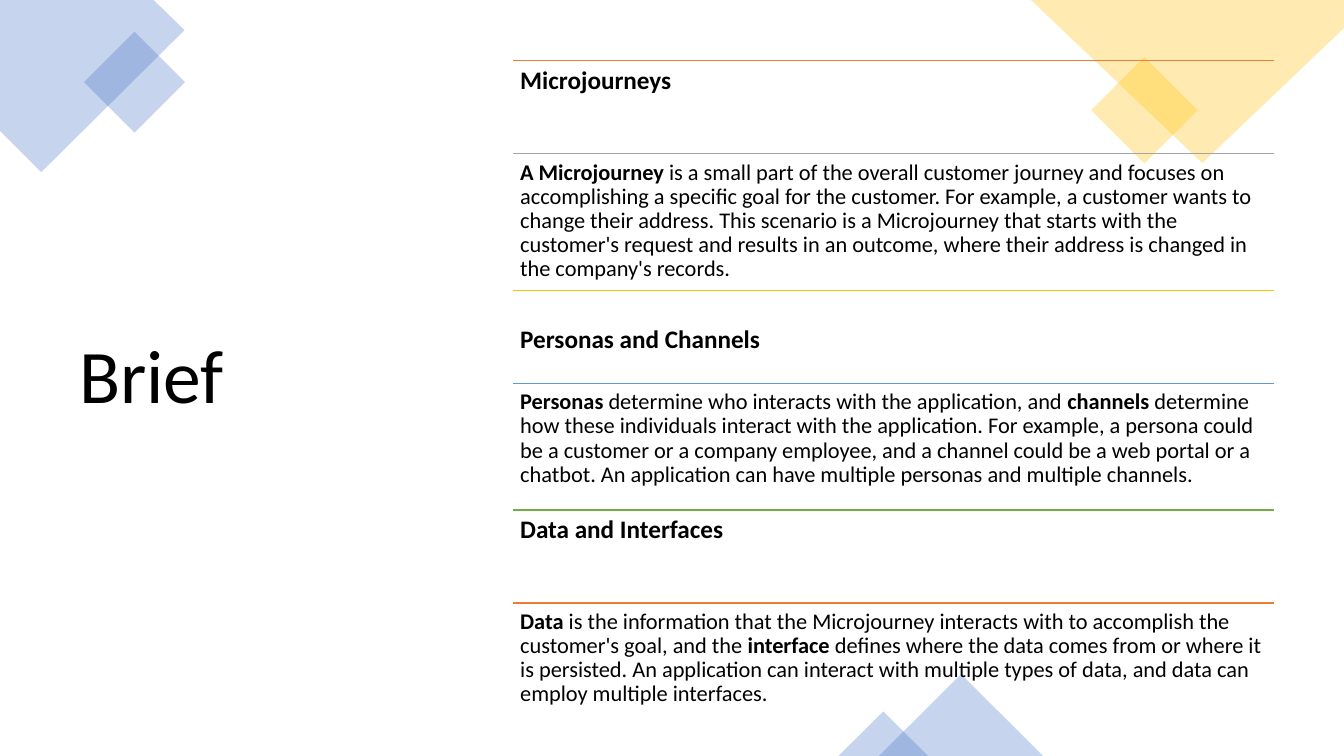
from lxml import etree
from pptx import Presentation
from pptx.dml.color import RGBColor
from pptx.enum import shapes, text
from pptx.oxml.ns import qn
from pptx.util import Cm, Pt

BLUE, GOLD, ORANGE, GREY = "4472C4", "FFC000", "ED7D31", "A5A5A5"
SKY, GREEN, BLACK = "5B9BD5", "70AD47", "000000"
COLUMN_LEFT, COLUMN_WIDTH, HEADING_HEIGHT = 12.93, 19.18, 2.34


def paint(shape, color):
    """Give a decorative shape a 30 % opaque fill without outline or shadow."""
    shape.shadow.inherit = False
    shape.line.fill.background()
    shape.fill.solid()
    shape.fill.fore_color.rgb = RGBColor.from_string(color)
    fill_color = shape._element.spPr.find(qn("a:solidFill"))[0]
    etree.SubElement(fill_color, qn("a:alpha"), val="30000")


def add_text(left, top, width, height, content, size, inset=0.18, bold=False):
    """Add a one-paragraph text box; parts between ** marks are bold."""
    box = slide.shapes.add_textbox(Cm(left), Cm(top), Cm(width), Cm(height))
    frame = box.text_frame
    frame.word_wrap = True
    frame.margin_left = frame.margin_right = Cm(inset)
    frame.margin_top = frame.margin_bottom = Cm(inset)
    paragraph = frame.paragraphs[0]
    paragraph.line_spacing = 0.9
    paragraph.font.name = "Calibri"
    paragraph.font.size = Pt(size)
    paragraph.font.color.rgb = RGBColor.from_string(BLACK)
    paragraph.font.bold = bold
    for index, part in enumerate(content.split("**")):
        if part:
            run = paragraph.add_run()
            run.text = part
            if index % 2:
                run.font.bold = True
    return frame


presentation = Presentation()
presentation.slide_width, presentation.slide_height = Cm(33.87), Cm(19.05)
slide = presentation.slides.add_slide(presentation.slide_layouts[6])

# Corner decorations
corners = [
    (BLUE, [(0, 0), (3.87, 0), (4.65, 0.76), (1.04, 4.34), (0, 3.3)]),
    (GOLD, [(33.87, 0), (25.98, 0), (30.3, 4.11), (33.87, 0.71)]),
]
for color, points in corners:
    start, *others = [(Cm(x), Cm(y)) for x, y in points]
    builder = slide.shapes.build_freeform(*start)
    builder.add_line_segments(others)
    paint(builder.convert_to_shape(), color)

RECTANGLE = shapes.MSO_SHAPE.RECTANGLE
TRIANGLE = shapes.MSO_SHAPE.ISOSCELES_TRIANGLE
accents = [
    (RECTANGLE, 2.49, 1.17, 1.8, 1.8, 45, BLUE),
    (RECTANGLE, 27.89, 1.83, 1.9, 1.9, 45, GOLD),
    (TRIANGLE, 22.15, 16.99, 4.14, 2.06, 0, BLUE),
    (TRIANGLE, 21.13, 17.93, 2.26, 1.12, 0, BLUE),
]
for kind, left, top, width, height, rotation, color in accents:
    accent = slide.shapes.add_shape(kind, Cm(left), Cm(top), Cm(width), Cm(height))
    accent.rotation = rotation
    paint(accent, color)

title = add_text(1.75, 1.78, 9.5, 15.52, "Brief", 54, inset=0.25)
title.vertical_anchor = text.MSO_ANCHOR.MIDDLE

# Sections: top, heading offset, body height, rule colours, heading, body
sections = [
    (1.53, 0, 3.45, (ORANGE, GREY), "Microjourneys",
     "**A Microjourney** is a small part of the overall customer journey and focuses on "
     "accomplishing a specific goal for the customer. For example, a customer wants to "
     "change their address. This scenario is a Microjourney that starts with the "
     "customer's request and results in an outcome, where their address is changed in "
     "the company's records."),
    (7.32, 0.73, 3.2, (GOLD, SKY), "Personas and Channels",
     "**Personas** determine who interacts with the application, and **channels** determine "
     "how these individuals interact with the application. For example, a persona could "
     "be a customer or a company employee, and a channel could be a web portal or a "
     "chatbot. An application can have multiple personas and multiple channels."),
    (12.85, 0, 2.34, (GREEN, ORANGE), "Data and Interfaces",
     "**Data** is the information that the Microjourney interacts with to accomplish the "
     "customer's goal, and the **interface** defines where the data comes from or where it "
     "is persisted. An application can interact with multiple types of data, and data can "
     "employ multiple interfaces."),
]
for top, heading_offset, body_height, rule_colors, heading, body in sections:
    body_top = top + HEADING_HEIGHT
    for y, color in zip((top, body_top), rule_colors):
        rule = slide.shapes.add_connector(
            shapes.MSO_CONNECTOR.STRAIGHT,
            Cm(COLUMN_LEFT), Cm(y), Cm(COLUMN_LEFT + COLUMN_WIDTH), Cm(y))
        rule.line.color.rgb = RGBColor.from_string(color)
        rule.line.width = Pt(1)
        etree.SubElement(rule._element.spPr, qn("a:effectLst"))
    add_text(COLUMN_LEFT, top + heading_offset, COLUMN_WIDTH, HEADING_HEIGHT,
             heading, 18, bold=True)
    add_text(COLUMN_LEFT, body_top, COLUMN_WIDTH, body_height, body, 16)

presentation.save("out.pptx")
